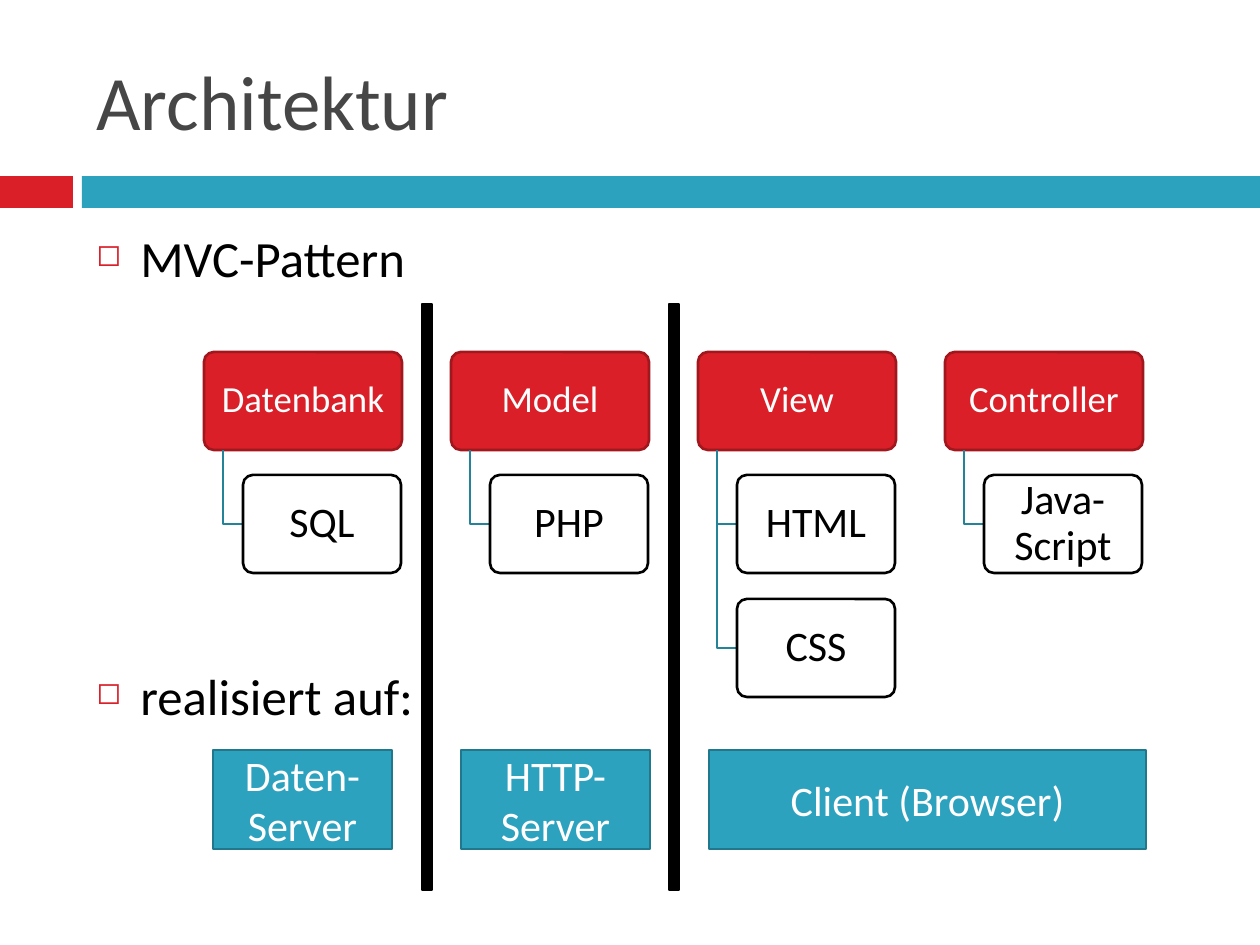
from pptx import Presentation, util as u
from pptx.dml import color
from pptx.enum import shapes, text
from pptx.oxml import parse_xml, ns

SCALE = 914400 / 126
RED, BLUE, BLACK, WHITE = "DA1F28", "2DA2BF", "000000", "FFFFFF"
KIND = shapes.MSO_SHAPE
MID = text.MSO_ANCHOR.MIDDLE
COLS = [("Datenbank", ["SQL"]), ("Model", ["PHP"]),
        ("View", ["HTML", "CSS"]), ("Controller", ["Java-Script"])]
HOSTS = [("Daten-Server", 213, 179), ("HTTP-Server", 461, 189),
         ("Client (Browser)", 709, 437)]


def px(n):
    """Turn pixels into EMU."""
    return u.Emu(round(n * SCALE))


def rgb(code):
    """Turn a hex string into a colour."""
    return color.RGBColor.from_string(code)


def write(shape, words, size=24, ink=BLACK, align=None, anchor=MID,
          pad=None, lead=None, gaps=()):
    """Put one paragraph per line of words into a shape."""
    frame = shape.text_frame
    frame.word_wrap = True
    frame.vertical_anchor = anchor
    if pad is not None:
        frame.margin_left = frame.margin_right = px(pad)
        frame.margin_top = frame.margin_bottom = px(pad)
    frame.text = words
    for para in frame.paragraphs:
        para.alignment = align
        para.line_spacing = lead
        font = para.runs[0].font
        font.name, font.size = "Calibri", u.Pt(size)
        font.color.rgb = rgb(ink)
    for para, gap in zip(frame.paragraphs, gaps):
        para.space_before = u.Pt(gap)
    return frame


def bullet(para):
    """Give a paragraph a hanging red square."""
    props = para._p.get_or_add_pPr()
    props.set("marL", str(px(44)))
    props.set("indent", str(px(-44)))
    space = ns.nsdecls("a")
    for part in (f'<a:buClr {space}><a:srgbClr val="{RED}"/></a:buClr>',
                 f'<a:buSzPct {space} val="60000"/>',
                 f'<a:buChar {space} char="\u25fb"/>'):
        props.append(parse_xml(part))


def stroke(shape, edge):
    """Set the outline and drop the shadow."""
    shape.shadow.inherit = False
    if edge:
        shape.line.color.rgb = rgb(edge)
        shape.line.width = u.Pt(1.5)
    else:
        shape.line.fill.background()


def box(slide, x, y, w, h, fill, edge=None, kind=KIND.RECTANGLE):
    """Add a filled shape."""
    shape = slide.shapes.add_shape(kind, px(x), px(y), px(w), px(h))
    shape.fill.solid()
    shape.fill.fore_color.rgb = rgb(fill)
    stroke(shape, edge)
    return shape


def card(slide, x, y, w, words, fill, edge, ink, size):
    """Add a rounded card with a centred label."""
    shape = box(slide, x, y, w, 98, fill, edge, KIND.ROUNDED_RECTANGLE)
    shape.adjustments[0] = 0.1
    write(shape, words, size, ink, text.PP_ALIGN.CENTER, pad=2, lead=0.9)


def elbow(slide, x, top, end):
    """Add a line that runs down and then right."""
    path = slide.shapes.build_freeform(x, top, scale=SCALE)
    path.add_line_segments([(x, end), (x + 20, end)], close=False)
    shape = path.convert_to_shape()
    shape.fill.background()
    stroke(shape, "248299")


def column(slide, x, head, items):
    """Add a heading card with its items below."""
    card(slide, x, 352, 198, head, RED, "A1171E", WHITE, 21)
    for row, item in enumerate(items):
        y = 475 + 124 * row
        elbow(slide, x + 19, 450, y + 49)
        card(slide, x + 39, y, 158, item, WHITE, BLACK, BLACK, 24)


def label(slide, x, y, w, h, words, **form):
    """Add a text box."""
    area = slide.shapes.add_textbox(px(x), px(y), px(w), px(h))
    return write(area, words, **form)


def main():
    """Build the slide."""
    deck = Presentation()
    deck.slide_width, deck.slide_height = px(1260), px(945)
    slide = deck.slides.add_slide(deck.slide_layouts[6])
    box(slide, 0, 176, 73, 32, RED)
    box(slide, 82, 176, 1178, 32, BLUE)
    label(slide, 84, 32, 1124, 136, "Architektur", size=44, ink="464646")
    body = label(slide, 84, 221, 1124, 620, "MVC-Pattern\nrealisiert auf:",
                 size=29, anchor=text.MSO_ANCHOR.TOP, gaps=(0, 215))
    for para in body.paragraphs:
        bullet(para)
    for place, (head, items) in enumerate(COLS):
        column(slide, 204 + 247 * place, head, items)
    for x in (422, 669):
        box(slide, x, 304, 10, 586, BLACK, BLACK)
    for words, x, w in HOSTS:
        host = box(slide, x, 750, w, 99, BLUE, "21788D",
                   KIND.FLOWCHART_PROCESS)
        write(host, words, ink=WHITE, align=text.PP_ALIGN.CENTER)
    deck.save("out.pptx")


main()
